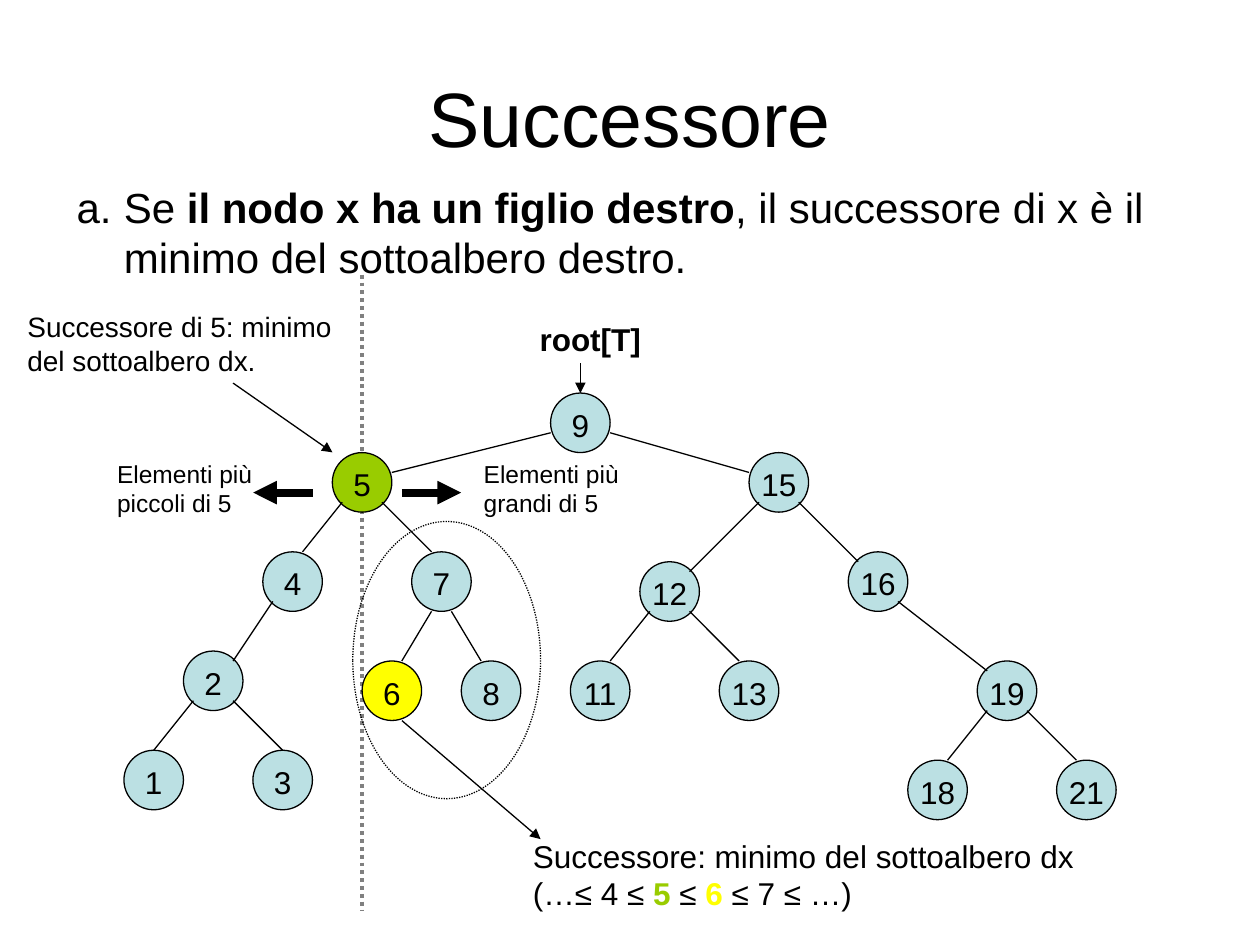
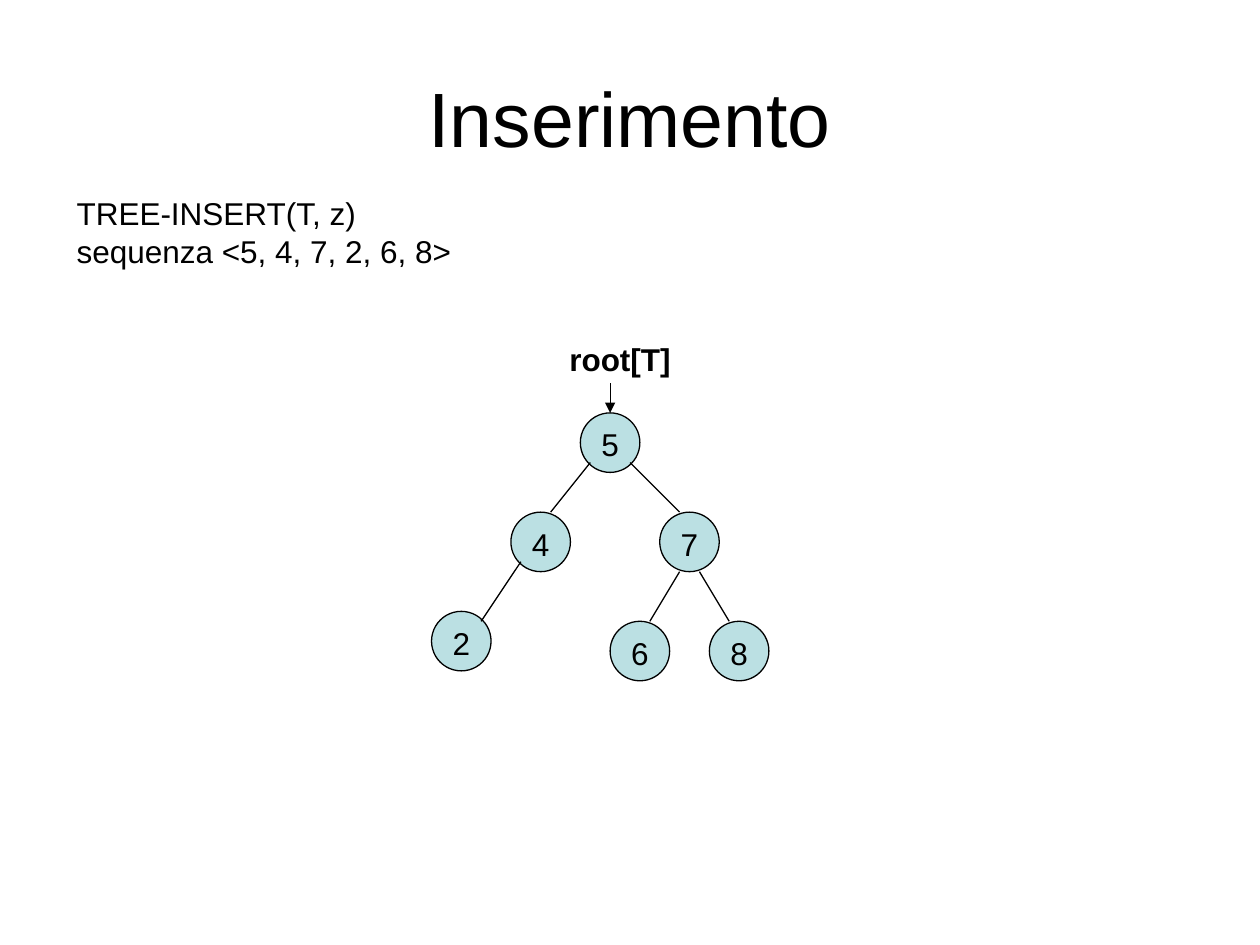
from lxml import etree
from pptx import Presentation
from pptx import util as u
from pptx.dml import color
from pptx.enum import dml, shapes, text
from pptx.oxml import ns

Pt = u.Pt
rgb = color.RGBColor.from_string
BLACK, GREY, BLUE, GREEN, YELLOW = "000000", "808080", "BBE0E3", "99CC00", "FFFF00"
FONT = "Arial"
UNIT = 5.67  # drawing grid step; a node is six steps wide
NODE = 6

# Node value: grid column and row of its upper left corner
NODES = {
    9: (55, 39), 5: (33, 45), 15: (75, 45), 4: (26, 55), 7: (41, 55),
    12: (64, 56), 16: (85, 55), 2: (18, 65), 6: (36, 66), 8: (46, 66),
    11: (57, 66), 13: (72, 66), 19: (98, 66), 1: (12, 75), 3: (25, 75),
    18: (91, 76), 21: (106, 76),
}

# Edge ends inside parent and child for a left child; right children mirror them
STEEP = ((1, 5), (4, 0))
CENTRED = ((1, 5), (3, 0))
DIAGONAL = ((1, 5), (5, 1))
NARROW = ((2, 6), (4, 0))
WIDE = ((0, 4), (6, 2))
EDGES = [
    (9, 5, WIDE), (9, 15, WIDE), (5, 4, STEEP), (5, 7, STEEP), (4, 2, DIAGONAL),
    (2, 1, CENTRED), (2, 3, CENTRED), (7, 6, NARROW), (7, 8, NARROW),
    (15, 12, DIAGONAL), (15, 16, DIAGONAL), (12, 11, STEEP), (12, 13, STEEP),
    (16, 19, DIAGONAL), (19, 18, STEEP), (19, 21, STEEP),
]

# Title, root, shown nodes, grid shift and highlighted nodes of each slide
TREES = [
    ("Successore", 9, list(NODES), (0, 0), {5: GREEN, 6: YELLOW}),
    ("Inserimento", 5, [5, 4, 7, 2, 6, 8], (25, -4), {}),
]


def add_text(slide, box, size, runs, align=text.PP_ALIGN.LEFT):
    """Add a one-paragraph text box; runs are (text, bold, colour)."""
    shape = slide.shapes.add_textbox(*map(Pt, box))
    shape.text_frame.word_wrap = True
    paragraph = shape.text_frame.paragraphs[0]
    paragraph.alignment = align
    paragraph.font.size, paragraph.font.name = Pt(size), FONT
    for words, bold, colour in runs:
        run = paragraph.add_run()
        run.text = words
        run.font.bold = bold
        run.font.color.rgb = rgb(colour)
    return shape


def add_line(slide, start, end, arrow=False, width=0.75, colour=BLACK):
    """Add a straight line between two points, with an optional arrowhead."""
    line = slide.shapes.add_connector(
        shapes.MSO_CONNECTOR.STRAIGHT, *map(Pt, (*start, *end)))
    line.line.width = Pt(width)
    line.line.color.rgb = rgb(colour)
    properties = line._element.spPr
    if arrow:
        etree.SubElement(properties.find(ns.qn("a:ln")), ns.qn("a:tailEnd"), type="triangle")
    etree.SubElement(properties, ns.qn("a:effectLst"))
    return line


presentation = Presentation()
presentation.slide_width, presentation.slide_height = Pt(720), Pt(540)
slides = []

for title, root, values, (shift_x, shift_y), highlights in TREES:
    slide = presentation.slides.add_slide(presentation.slide_layouts[5])
    slides.append(slide)

    # Title
    shape = slide.shapes.title
    shape.left, shape.top, shape.width, shape.height = map(Pt, (36, 21.6, 648, 90))
    shape.text_frame.text = title
    shape.text_frame.vertical_anchor = text.MSO_ANCHOR.MIDDLE
    paragraph = shape.text_frame.paragraphs[0]
    paragraph.alignment = text.PP_ALIGN.CENTER
    paragraph.font.size, paragraph.font.name = Pt(44), FONT
    paragraph.font.color.rgb = rgb(BLACK)

    # Divider through node 5, behind the tree
    if root == 9:
        divider = add_line(slide, (206.8, 157), (206.8, 520), width=2.25, colour=GREY)
        divider.line.dash_style = dml.MSO_LINE.ROUND_DOT

    # Nodes
    places, circles = {}, {}
    for value in values:
        column, row = NODES[value]
        left = 2.8 + UNIT * (column + shift_x)
        top = 3.5 + UNIT * (row + shift_y)
        places[value] = (left, top)
        circle = slide.shapes.add_shape(
            shapes.MSO_SHAPE.OVAL, Pt(left), Pt(top), Pt(NODE * UNIT), Pt(NODE * UNIT))
        circles[value] = circle
        circle.shadow.inherit = False
        circle.fill.solid()
        circle.fill.fore_color.rgb = rgb(highlights.get(value, BLUE))
        circle.line.color.rgb = rgb(BLACK)
        circle.line.width = Pt(0.75)
        frame = circle.text_frame
        frame.margin_left = frame.margin_right = frame.margin_bottom = 0
        frame.margin_top = Pt(2)
        frame.word_wrap = False
        frame.vertical_anchor = text.MSO_ANCHOR.MIDDLE
        frame.text = str(value)
        paragraph = frame.paragraphs[0]
        paragraph.alignment = text.PP_ALIGN.CENTER
        paragraph.font.size, paragraph.font.name = Pt(18), FONT
        paragraph.font.color.rgb = rgb(BLACK)

    # Edges
    for parent, child, offsets in EDGES:
        if parent in places and child in places:
            ends = []
            for value, (x, y) in zip((parent, child), offsets):
                left, top = places[value]
                x = x if child < parent else NODE - x
                ends.append((left + UNIT * x, top + UNIT * y))
            add_line(slide, *ends)

    # Root label and its arrow
    left, top = places[root]
    add_text(slide, (left - 4 * UNIT, top - 8 * UNIT, 90.7, 28.8), 18,
             [("root[T]", True, BLACK)], text.PP_ALIGN.CENTER)
    middle = left + NODE / 2 * UNIT
    arrow = add_line(slide, (middle, top - 3 * UNIT), (middle, top), arrow=True)
    arrow.end_connect(circles[root], 0)

successor_slide, insertion_slide = slides

# Successor rule, numbered with a letter
rule = add_text(successor_slide, (36.7, 100, 652.3, 64.8), 24, [
    ("Se ", False, BLACK),
    ("il nodo x ha un figlio destro", True, BLACK),
    (", il successore di x è il minimo del sottoalbero destro.", False, BLACK)])
properties = rule.text_frame.paragraphs[0]._p.get_or_add_pPr()
properties.set("marL", str(Pt(27)))
properties.set("indent", str(-Pt(27)))
numbering = etree.Element(ns.qn("a:buAutoNum"), type="alphaLcPeriod")
properties.insert(0, numbering)

# Right subtree of node 5
subtree = successor_slide.shapes.add_shape(
    shapes.MSO_SHAPE.OVAL, Pt(201.6), Pt(298), Pt(107.3), Pt(158.4))
subtree.shadow.inherit = False
subtree.fill.background()
subtree.line.color.rgb = rgb(BLACK)
subtree.line.width = Pt(0.75)
subtree.line.dash_style = dml.MSO_LINE.ROUND_DOT

# Notes around the tree
for box, size, words in [
    ((8.6, 173.5, 209.5, 46), 16, "Successore di 5: minimo del sottoalbero dx."),
    ((269.3, 258.5, 102.2, 41), 14, "Elementi più grandi di 5"),
    ((59.8, 258.5, 102.2, 41), 14, "Elementi più piccoli di 5"),
]:
    add_text(successor_slide, box, size, [(words, False, BLACK)])
add_text(successor_slide, (297.4, 474.5, 340.6, 50.4), 18, [
    ("Successore: minimo del sottoalbero dx (…≤ 4 ≤ ", False, BLACK),
    ("5", True, GREEN), (" ≤ ", False, BLACK), ("6", True, YELLOW),
    (" ≤ 7 ≤ …)", False, BLACK)])

# Arrows to node 5, from node 6, and to both sides of the divider
for start, end, width in [
    ((133.2, 218.9), (190, 258.5), 0.75),
    ((229.7, 411.8), (308.9, 479.5), 0.75),
    ((229.7, 281.5), (263.5, 281.5), 4.5),
    ((178.6, 281.5), (144.7, 281.5), 4.5),
]:
    add_line(successor_slide, start, end, arrow=True, width=width)

# Insertion call and its sequence
call = add_text(insertion_slide, (36.7, 111.6, 329, 46.8), 18,
                [("TREE-INSERT(T, z)", False, BLACK)])
sequence = call.text_frame.add_paragraph()
sequence.text = "sequenza <5, 4, 7, 2, 6, 8>"
sequence.font.size, sequence.font.name = Pt(18), FONT
sequence.font.color.rgb = rgb(BLACK)
for paragraph in call.text_frame.paragraphs:
    paragraph.line_spacing = 0.8
    paragraph.space_before = Pt(4.5)

presentation.save("out.pptx")
